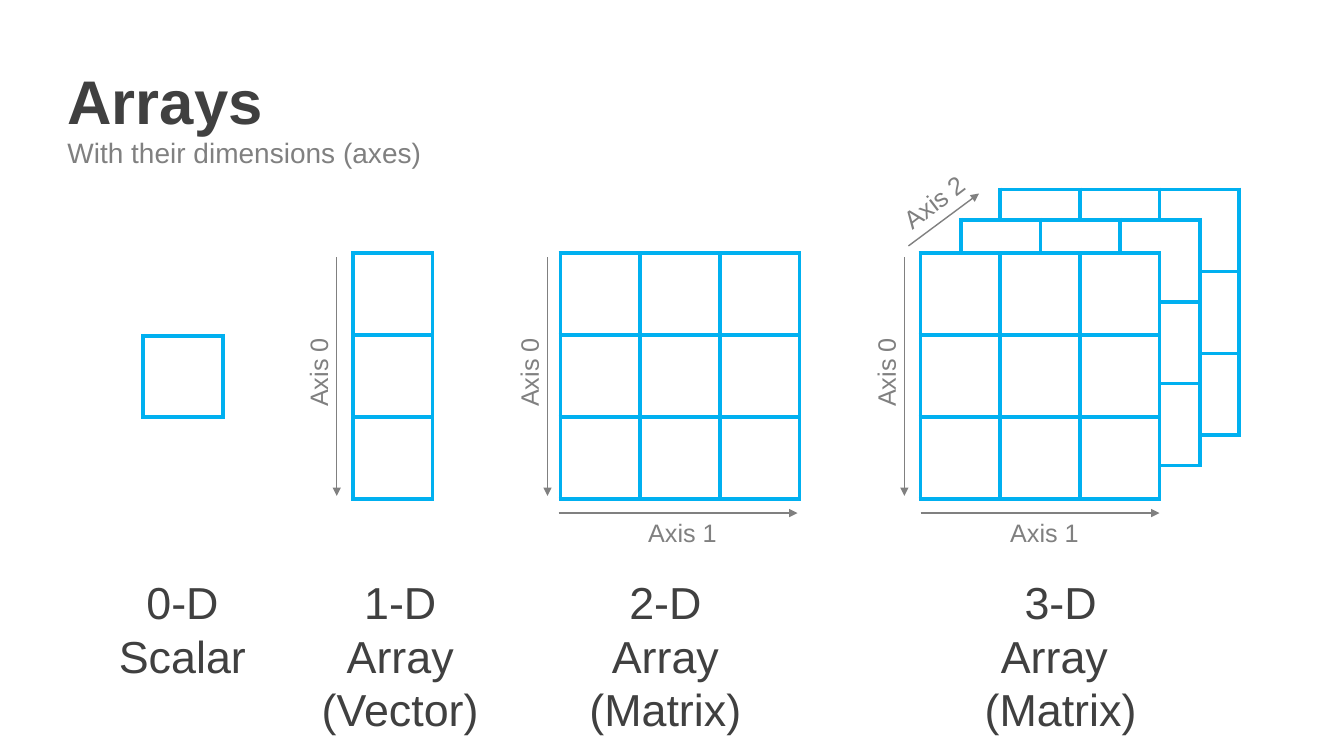
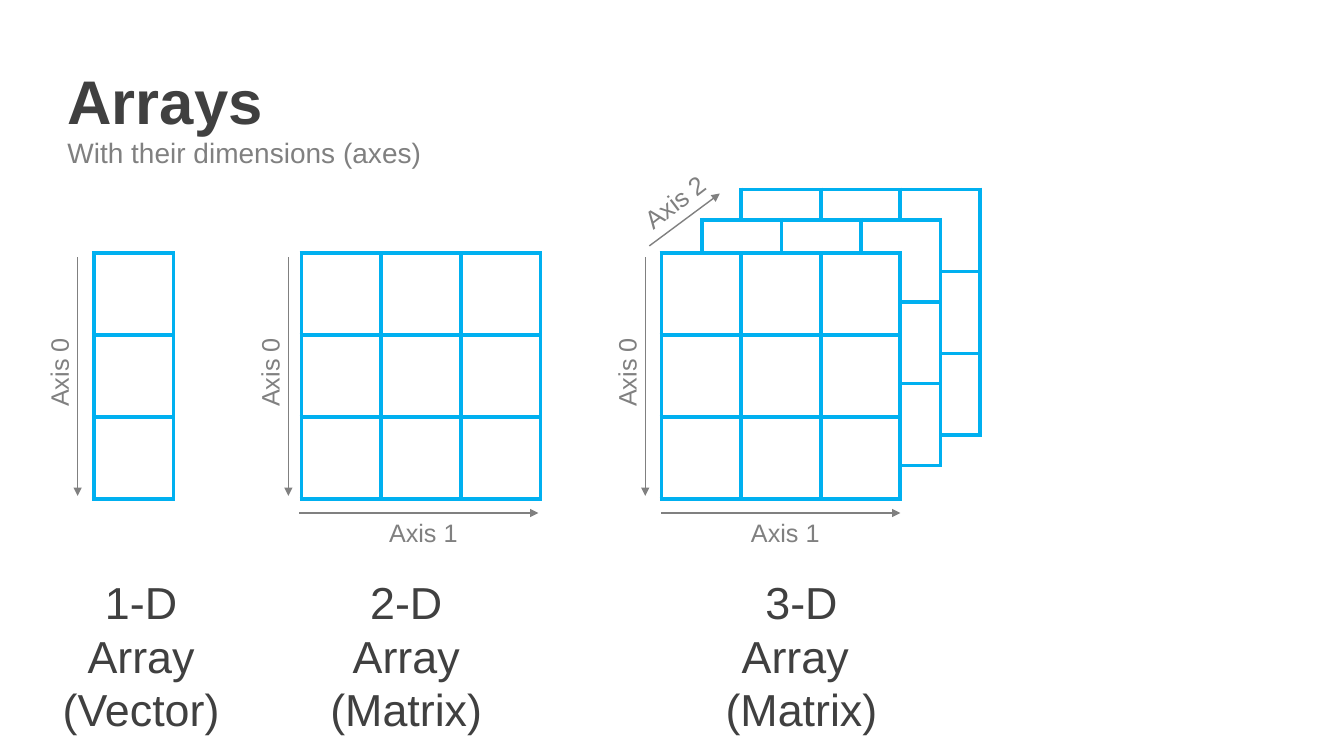
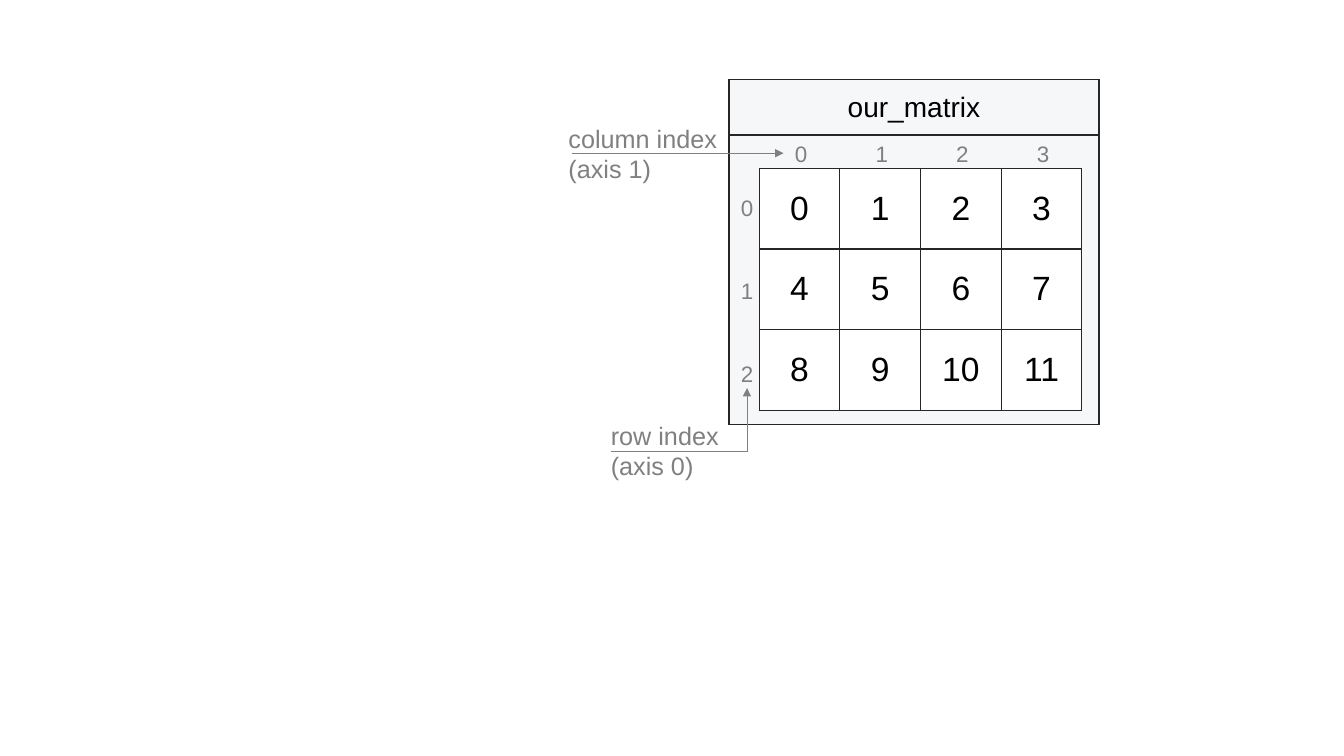
from pptx import Presentation
from pptx import util as u
from pptx.dml.color import RGBColor
from pptx.enum import shapes, text
from pptx.oxml import ns, xmlchemy

PX = 9144  # EMU; 100 px to the inch
FONT = "Arial"
DARK, GREY, BLACK = "404040", "808080", "000000"
BLUE, WHITE, PANEL, FRAME = "00B0F0", "FFFFFF", "F6F7F9", "262626"

TITLE, SUBTITLE = "Arrays", "With their dimensions (axes)"
CELL_W, CELL_H = 79, 81
GRID_TOP, GRID_H = 251, 244
AXIS_LEN = 237
CAPTION_W = 184

# x positions: grid left, axis 0 line, axis 1 line, caption centre
SCALAR = dict(rows=1, cols=1, top=333, x=142, centre=181,
              caption=["0-D", "Scalar"])
VECTOR = dict(rows=3, cols=1, x=350, axis0=334, centre=397,
              caption=["1-D", "Array", "(Vector)"])
MATRIX = dict(rows=3, cols=3, x=556, axis0=543, axis1=554, centre=660,
              caption=["2-D", "Array", "(Matrix)"])
CUBE = dict(rows=3, cols=3, x=913, axis0=897, axis1=913, centre=1052,
            layers=[(79, -63), (40, -33)], axis2=901,
            caption=["3-D", "Array ", "(Matrix)"])
ARRAY_SLIDES = [
    (0, [SCALAR, VECTOR, MATRIX, CUBE]),
    (-257, [VECTOR, MATRIX, CUBE]),
]

PANEL_ROWS = [["our_matrix"], [""]]
VALUES = [[0, 1, 2, 3], [4, 5, 6, 7], [8, 9, 10, 11]]
INDEX_LABELS = [
    (596, 412, 135, ["row index", "(axis 0)"]),
    (554, 117, 176, ["column index", "(axis 1)"]),
]


def px(*values):
    return [u.Emu(v * PX) for v in values]


def rgb(colour):
    return RGBColor.from_string(colour)


def style(p, size, colour, align, bold=False):
    p.alignment = align
    for r in p.runs:
        r.font.name, r.font.size, r.font.bold = FONT, u.Pt(size), bold
        r.font.color.rgb = rgb(colour)


def add_text(s, x, y, w, h, lines, size, colour=GREY, bold=False,
             align=text.PP_ALIGN.LEFT, wrap=False, rotation=0):
    box = s.shapes.add_textbox(*px(x, y, w, h))
    box.rotation = rotation
    tf = box.text_frame
    tf.word_wrap = wrap
    tf.auto_size = text.MSO_AUTO_SIZE.SHAPE_TO_FIT_TEXT
    tf.text = "\n".join(lines)
    for p in tf.paragraphs:
        style(p, size, colour, align, bold)


def add_arrow(s, x1, y1, x2, y2, width=1, bend=None):
    """Arrow to (x2, y2); bend places an elbow, in thousandths of a percent."""
    kind = shapes.MSO_CONNECTOR.ELBOW if bend else shapes.MSO_CONNECTOR.STRAIGHT
    line = s.shapes.add_connector(kind, *px(x1, y1, x2, y2))
    line.line.color.rgb = rgb(GREY)
    line.line.width = u.Pt(width)
    sp = line._element.spPr
    if bend:
        guide = xmlchemy.OxmlElement("a:gd")
        guide.set("name", "adj1")
        guide.set("fmla", f"val {bend}")
        sp.find(ns.qn("a:prstGeom")).get_or_add_avLst().append(guide)
    head = xmlchemy.OxmlElement("a:tailEnd")
    head.set("type", "triangle")
    sp.find(ns.qn("a:ln")).append(head)
    sp.append(xmlchemy.OxmlElement("a:effectLst"))


def add_borders(cell, colour, width):
    props = cell._tc.get_or_add_tcPr()
    for i, side in enumerate("LRTB"):
        ln = xmlchemy.OxmlElement(f"a:ln{side}")
        ln.set("w", str(u.Pt(width)))
        fill = xmlchemy.OxmlElement("a:solidFill")
        value = xmlchemy.OxmlElement("a:srgbClr")
        value.set("val", colour)
        fill.append(value)
        ln.append(fill)
        props.insert(i, ln)


def add_grid(s, x, y, w, h, rows, size=18, fill=WHITE, border=BLUE, width=3):
    frame = s.shapes.add_table(len(rows), len(rows[0]), *px(x, y, w, h))
    table = frame.table
    table.first_row = table.horz_banding = False
    for i, row in enumerate(rows):
        for j, value in enumerate(row):
            cell = table.cell(i, j)
            cell.fill.solid()
            cell.fill.fore_color.rgb = rgb(fill)
            add_borders(cell, border, width)
            cell.vertical_anchor = text.MSO_ANCHOR.MIDDLE
            cell.text = str(value)
            style(cell.text_frame.paragraphs[0], size, BLACK,
                  text.PP_ALIGN.CENTER)
    return table


def add_title(s):
    add_text(s, 57, 58, 216, 84, [TITLE], 44, DARK, bold=True)
    add_text(s, 57, 130, 374, 44, [SUBTITLE], 20)


def add_array(s, array, shift):
    x, rows, cols = array["x"] + shift, array["rows"], array["cols"]
    top = array.get("top", GRID_TOP)
    height = CELL_H if rows == 1 else GRID_H
    blank = [[""] * cols] * rows
    for dx, dy in array.get("layers", []) + [(0, 0)]:
        add_grid(s, x + dx, top + dy, CELL_W * cols, height, blank)

    if "axis0" in array:
        left = array["axis0"] + shift
        add_arrow(s, left, 255, left, 255 + AXIS_LEN)
        add_text(s, left - 63, 349, 89, 40, ["Axis 0"], 18, rotation=270)
    if "axis1" in array:
        left = array["axis1"] + shift
        add_arrow(s, left, 509, left + AXIS_LEN, 509)
        add_text(s, left + 79, 508, 89, 40, ["Axis 1"], 18)
    if "axis2" in array:
        left = array["axis2"] + shift
        add_arrow(s, left, 244, left + 70, 192)
        add_text(s, left - 19, 180, 89, 40, ["Axis 2"], 18, rotation=322.6)

    lines = array["caption"]
    add_text(s, array["centre"] + shift - CAPTION_W // 2, 565, CAPTION_W,
             10 + 54 * len(lines), lines, 32, DARK,
             align=text.PP_ALIGN.CENTER)


def add_matrix(s):
    panel = add_grid(s, 723, 79, 367, 342, PANEL_ROWS, 20, PANEL, FRAME, 1)
    for row, height in zip(panel.rows, px(55, 287)):
        row.height = height
    add_grid(s, 753, 167, 320, 240, VALUES, 24, WHITE, FRAME, 1)
    for i in range(len(VALUES)):
        add_text(s, 725, 188 + 82 * i, 35, 37, [str(i)], 16, wrap=True)
    for j in range(len(VALUES[0])):
        add_text(s, 777 + 80 * j, 134, 35, 37, [str(j)], 16, wrap=True,
                 align=text.PP_ALIGN.CENTER)
    add_arrow(s, 606, 448, 741, 385, 0.5, bend=99900)
    add_arrow(s, 567, 152, 777, 152, 0.5)
    for x, y, w, lines in INDEX_LABELS:
        add_text(s, x, y, w, 71, lines, 18)


def main():
    prs = Presentation()
    prs.slide_width, prs.slide_height = px(1333, 750)
    blank = prs.slide_layouts[6]
    for shift, arrays in ARRAY_SLIDES:
        s = prs.slides.add_slide(blank)
        add_title(s)
        for array in arrays:
            add_array(s, array, shift)
    add_matrix(prs.slides.add_slide(blank))
    prs.save("out.pptx")


if __name__ == "__main__":
    main()
